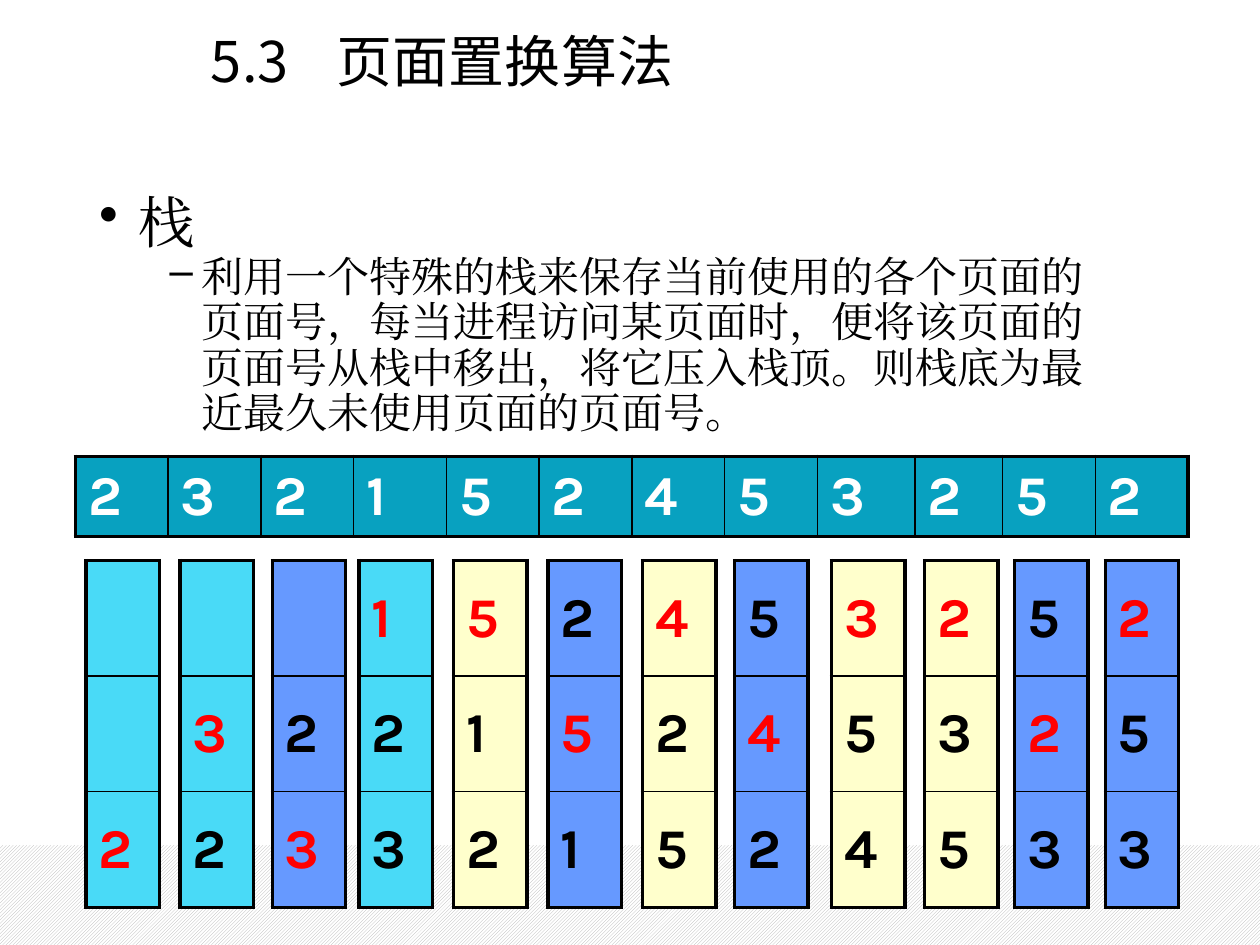
from dataclasses import dataclass

from lxml import etree
from pptx import Presentation
from pptx import util as u
from pptx.dml.color import RGBColor
from pptx.enum import dml, shapes, text
from pptx.oxml.ns import qn


@dataclass(frozen=True)
class Theme:
    text: str = "000000"
    white: str = "FFFFFF"
    stripe: str = "B2B2B2"
    request: str = "08A1C0"
    loading: str = "49DAF7"
    hit: str = "6699FF"
    fault: str = "FFFFCC"
    marked: str = "FF0000"
    title_font: str = "Noto Sans CJK SC"
    body_font: str = "Times New Roman"
    digit_font: str = "Karla"
    large: float = 32
    small: float = 24
    thick: float = 2.25
    thin: float = 1


THEME = Theme()


@dataclass(frozen=True)
class Bullet:
    content: str
    mark: str
    size: float
    line_height: float
    margin: float
    hanging: float


@dataclass(frozen=True)
class Stack:
    """Pages from top to bottom; a space is an empty frame."""
    left: float
    pages: str
    marked_row: int
    fill: str


REQUESTS = "232152453252"
REQUEST_LEFT, REQUEST_TOP, REQUEST_HEIGHT = 1.52, 9.2, 1.6
REQUEST_WIDTHS = [1.87] * 8 + [1.97, 1.76] + [1.87] * 2
STACK_TOP, STACK_WIDTH, FRAME_HEIGHT = 11.3, 1.48, 2.33

STACKS = [
    Stack(1.73, "  2", 2, THEME.loading),
    Stack(3.63, " 32", 1, THEME.loading),
    Stack(5.49, " 23", 2, THEME.hit),
    Stack(7.24, "123", 0, THEME.loading),
    Stack(9.14, "512", 0, THEME.fault),
    Stack(11.05, "251", 1, THEME.hit),
    Stack(12.95, "425", 0, THEME.fault),
    Stack(14.81, "542", 1, THEME.hit),
    Stack(16.76, "354", 0, THEME.fault),
    Stack(18.64, "235", 0, THEME.fault),
    Stack(20.45, "523", 1, THEME.hit),
    Stack(22.28, "253", 0, THEME.hit),
]

BULLETS = [
    Bullet("栈", "•", THEME.large, 35, 2.54, 0.79),
    Bullet(
        "利用一个特殊的栈来保存当前使用的各个页面的页面号，每当进程访问某页面时，"
        "便将该页面的页面号从栈中移出，将它压入栈顶。则栈底为最近最久未使用页面的页面号。",
        "–", THEME.small, 26, 3.81, 0.64),
]


def rgb(color: str) -> RGBColor:
    return RGBColor.from_string(color)


def format_runs(paragraph, font: str, size: float, color: str, bold: bool = False) -> None:
    for run in paragraph.runs:
        run.font.name = font
        run.font.size = u.Pt(size)
        run.font.bold = bold
        run.font.color.rgb = rgb(color)
        east_asian = etree.SubElement(run.font._element, qn("a:ea"))
        east_asian.set("typeface", font)


def add_text_box(slide, left: float, top: float, width: float, height: float):
    frame = slide.shapes.add_textbox(u.Cm(left), u.Cm(top), u.Cm(width), u.Cm(height)).text_frame
    frame.word_wrap = True
    frame.vertical_anchor = text.MSO_ANCHOR.TOP
    return frame


def add_bottom_stripe(slide) -> None:
    shape = slide.shapes.add_shape(
        shapes.MSO_SHAPE.RECTANGLE, u.Cm(0), u.Cm(17.04), u.Cm(25.4), u.Cm(2.01))
    shape.shadow.inherit = False
    shape.line.fill.background()
    shape.fill.patterned()
    shape.fill.pattern = dml.MSO_PATTERN.DARK_UPWARD_DIAGONAL
    shape.fill.fore_color.rgb = rgb(THEME.stripe)
    shape.fill.back_color.rgb = rgb(THEME.white)


def add_title(slide) -> None:
    paragraph = add_text_box(slide, 0, 0.41, 17.83, 3.15).paragraphs[0]
    paragraph.text = "5.3\t页面置换算法"
    paragraph.alignment = text.PP_ALIGN.CENTER
    format_runs(paragraph, THEME.title_font, THEME.large, THEME.text)


def add_bullets(slide, bullets: list[Bullet]) -> None:
    frame = add_text_box(slide, 0, 3.78, 22.86, 13.21)
    frame.text = "\n".join(bullet.content for bullet in bullets)
    for paragraph, bullet in zip(frame.paragraphs, bullets):
        paragraph.line_spacing = u.Pt(bullet.line_height)
        format_runs(paragraph, THEME.body_font, bullet.size, THEME.text)
        properties = paragraph._p.get_or_add_pPr()
        properties.set("marL", str(u.Cm(bullet.margin)))
        properties.set("indent", str(-u.Cm(bullet.hanging)))
        etree.SubElement(properties, qn("a:buChar")).set("char", bullet.mark)


def set_borders(cell, widths: dict[str, float]) -> None:
    properties = cell._tc.get_or_add_tcPr()
    for position, (side, width) in enumerate(widths.items()):
        line = etree.Element(qn(f"a:ln{side}"), w=str(u.Pt(width)))
        fill = etree.SubElement(line, qn("a:solidFill"))
        etree.SubElement(fill, qn("a:srgbClr")).set("val", THEME.text)
        properties.insert(position, line)


def add_grid(slide, left: float, top: float, widths: list[float], heights: list[float]):
    """Add an unbanded table with thick outer and thin inner lines."""
    table = slide.shapes.add_table(
        len(heights), len(widths), u.Cm(left), u.Cm(top),
        u.Cm(sum(widths)), u.Cm(sum(heights))).table
    table.first_row = table.horz_banding = False
    for column, width in zip(table.columns, widths):
        column.width = u.Cm(width)
    for row, height in zip(table.rows, heights):
        row.height = u.Cm(height)
    last_row, last_column = len(heights) - 1, len(widths) - 1
    for row in range(len(heights)):
        for column in range(len(widths)):
            outer = {"L": column == 0, "R": column == last_column,
                     "T": row == 0, "B": row == last_row}
            set_borders(table.cell(row, column), {
                side: THEME.thick if is_outer else THEME.thin
                for side, is_outer in outer.items()})
    return table


def fill_cell(cell, page: str, fill: str, color: str) -> None:
    cell.fill.solid()
    cell.fill.fore_color.rgb = rgb(fill)
    cell.vertical_anchor = text.MSO_ANCHOR.MIDDLE
    cell.text_frame.text = page.strip()
    format_runs(cell.text_frame.paragraphs[0], THEME.digit_font, THEME.large, color, bold=True)


def add_requests(slide) -> None:
    table = add_grid(slide, REQUEST_LEFT, REQUEST_TOP, REQUEST_WIDTHS, [REQUEST_HEIGHT])
    for column, page in enumerate(REQUESTS):
        fill_cell(table.cell(0, column), page, THEME.request, THEME.white)


def add_stack(slide, stack: Stack) -> None:
    table = add_grid(slide, stack.left, STACK_TOP, [STACK_WIDTH],
                     [FRAME_HEIGHT] * len(stack.pages))
    for row, page in enumerate(stack.pages):
        color = THEME.marked if row == stack.marked_row else THEME.text
        fill_cell(table.cell(row, 0), page, stack.fill, color)


def main() -> None:
    presentation = Presentation()
    presentation.slide_width = u.Cm(25.4)
    presentation.slide_height = u.Cm(19.05)
    slide = presentation.slides.add_slide(presentation.slide_layouts[6])
    add_bottom_stripe(slide)
    add_bullets(slide, BULLETS)
    add_title(slide)
    add_requests(slide)
    for stack in STACKS:
        add_stack(slide, stack)
    presentation.save("out.pptx")


if __name__ == "__main__":
    main()
